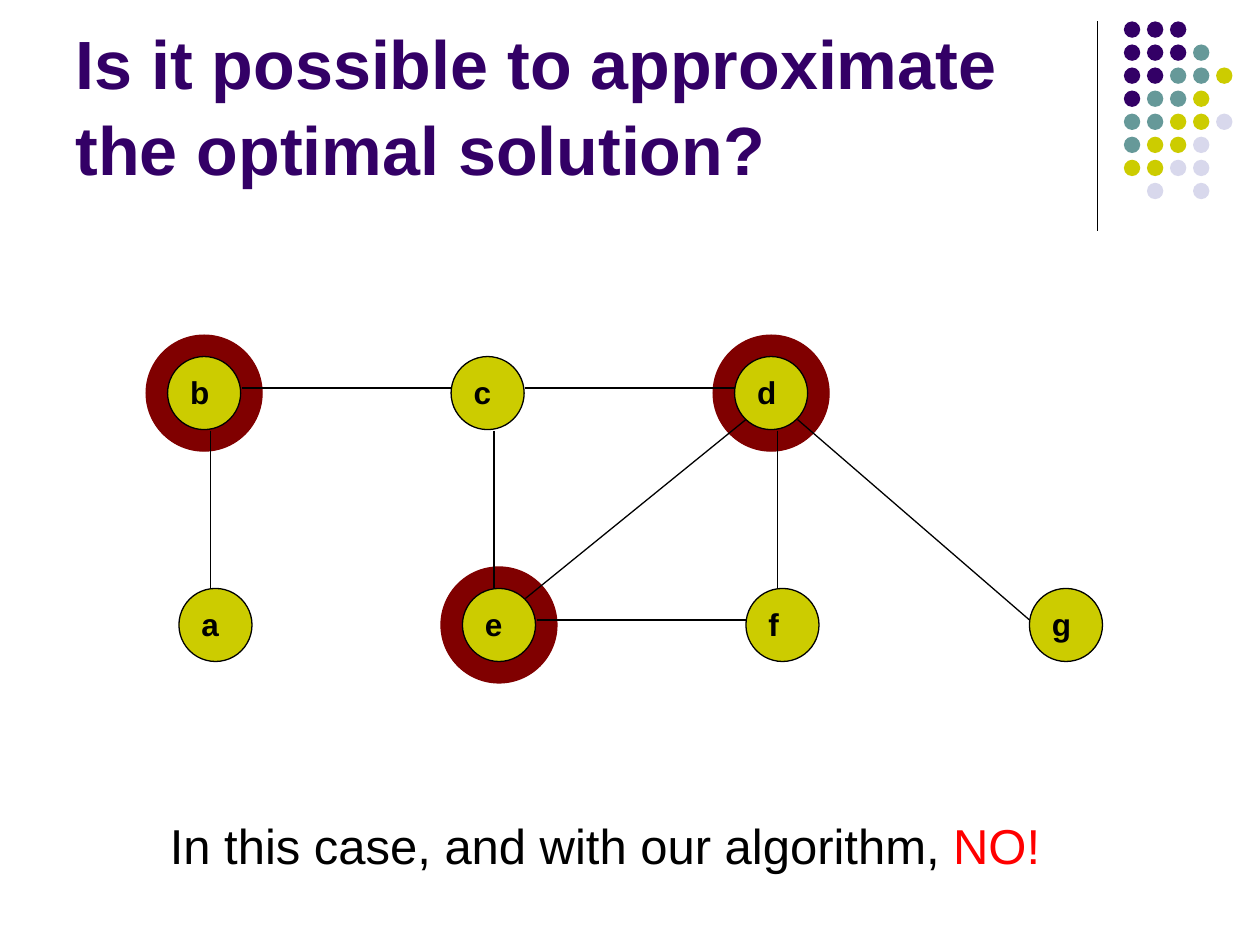
import pptx
from pptx.dml.color import RGBColor
from pptx.enum.shapes import MSO_CONNECTOR, MSO_SHAPE
from pptx.enum.text import MSO_ANCHOR, MSO_AUTO_SIZE, PP_ALIGN
from pptx.oxml.ns import qn
from pptx.util import Inches, Pt
from lxml import etree

# Content
TITLE = "Is it possible to approximate the optimal solution?"
ANSWER = [("In this case, and with our algorithm, ", "000000"), ("NO!", "FF0000")]

NODES = {  # left, top of each circle
    "b": (1.33, 2.83), "c": (3.58, 2.83), "d": (5.83, 2.83),
    "a": (1.42, 4.67), "e": (3.67, 4.67), "f": (5.92, 4.67), "g": (8.17, 4.67),
}
COVER = ["e", "d", "b"]
EDGES = [
    ("b", "bottom", "a", "top"), ("c", "bottom", "e", "top"),
    ("d", "bottom", "f", "top"), ("b", "right", "c", "left"),
    ("c", "right", "d", "left"), ("e", "right", "f", "left"),
    ("e", "upper right", "d", "lower left"), ("d", "lower right", "g", "left"),
]
PORTS = {  # where edges meet a circle, from its left and top
    "top": (0.25, 0), "bottom": (0.34, 0.59),
    "left": (0, 0.25), "right": (0.59, 0.25), "upper right": (0.5, 0.08),
    "lower left": (0.09, 0.5), "lower right": (0.5, 0.5),
}

DOT_ROWS = ["PPP", "PPPT", "PPTTY", "PTTY", "TTYYL", "TYYL", "YYLL", " L L"]
DOT_COLORS = {"P": "330066", "T": "669999", "Y": "CCCC00", "L": "D8D8EC"}

# Sizes
NODE_SIZE = 0.58
RING_SIZE = 0.92
DOT_SIZE = 0.13
DOT_PITCH = 0.183


def rgb(color):
    return RGBColor.from_string(color)


def write(frame, runs, size, bold=False, spacing=None):
    paragraph = frame.paragraphs[0]
    paragraph.alignment = PP_ALIGN.LEFT
    if spacing:
        paragraph.line_spacing = spacing
    for text, color in runs:
        run = paragraph.add_run()
        run.text = text
        run.font.name = "Arial"
        run.font.size = Pt(size)
        run.font.bold = bold
        run.font.color.rgb = rgb(color)


def add_circle(left, top, size, fill, line=None):
    circle = slide.shapes.add_shape(
        MSO_SHAPE.OVAL, Inches(left), Inches(top), Inches(size), Inches(size))
    circle.shadow.inherit = False
    circle.fill.solid()
    circle.fill.fore_color.rgb = rgb(fill)
    if line:
        circle.line.color.rgb = rgb(line)
        circle.line.width = Pt(0.75)
    else:
        circle.line.fill.background()


def add_line(start, end):
    line = slide.shapes.add_connector(
        MSO_CONNECTOR.STRAIGHT, *[Inches(value) for value in (*start, *end)])
    line.line.color.rgb = rgb("000000")
    line.line.width = Pt(0.75)
    etree.SubElement(line._element.spPr, qn("a:effectLst"))


def add_text(left, top, width, height, runs, size, bold=False, wrap=True):
    box = slide.shapes.add_textbox(
        Inches(left), Inches(top), Inches(width), Inches(height))
    box.text_frame.word_wrap = wrap
    box.text_frame.auto_size = MSO_AUTO_SIZE.SHAPE_TO_FIT_TEXT
    write(box.text_frame, runs, size, bold)


def port(node, side):
    return tuple(start + offset for start, offset in zip(NODES[node], PORTS[side]))


presentation = pptx.Presentation()
presentation.slide_width = Inches(10)
presentation.slide_height = Inches(7.5)
slide = presentation.slides.add_slide(presentation.slide_layouts[5])

# Title
title = slide.shapes.title
title.left, title.top = Inches(0.5), Inches(0.13)
title.width, title.height = Inches(8.25), Inches(1.42)
title.text_frame.word_wrap = True
title.text_frame.auto_size = MSO_AUTO_SIZE.NONE
title.text_frame.vertical_anchor = MSO_ANCHOR.BOTTOM
write(title.text_frame, [(TITLE, "330066")], 39, bold=True, spacing=1.05)

# Corner decoration
add_line((8.71, 0.17), (8.71, 1.83))
for row, dots in enumerate(DOT_ROWS):
    for column, dot in enumerate(dots):
        if dot in DOT_COLORS:
            add_circle(8.92 + column * DOT_PITCH, 0.17 + row * DOT_PITCH,
                       DOT_SIZE, DOT_COLORS[dot])

# Rings around the chosen nodes
margin = (RING_SIZE - NODE_SIZE) / 2
for node in COVER:
    left, top = NODES[node]
    add_circle(left - margin, top - margin, RING_SIZE, "800000", "800000")

# Nodes and their labels
for node, (left, top) in NODES.items():
    add_circle(left, top, NODE_SIZE, "CCCC00", "000000")
    add_text(left + 0.08, top + 0.08, 0.42, 0.4, [(node, "000000")], 18, bold=True)

# Edges
for start, start_side, end, end_side in EDGES:
    add_line(port(start, start_side), port(end, end_side))

# Answer
add_text(1.25, 6.42, 7.13, 0.57, ANSWER, 28, wrap=False)

presentation.save("out.pptx")
